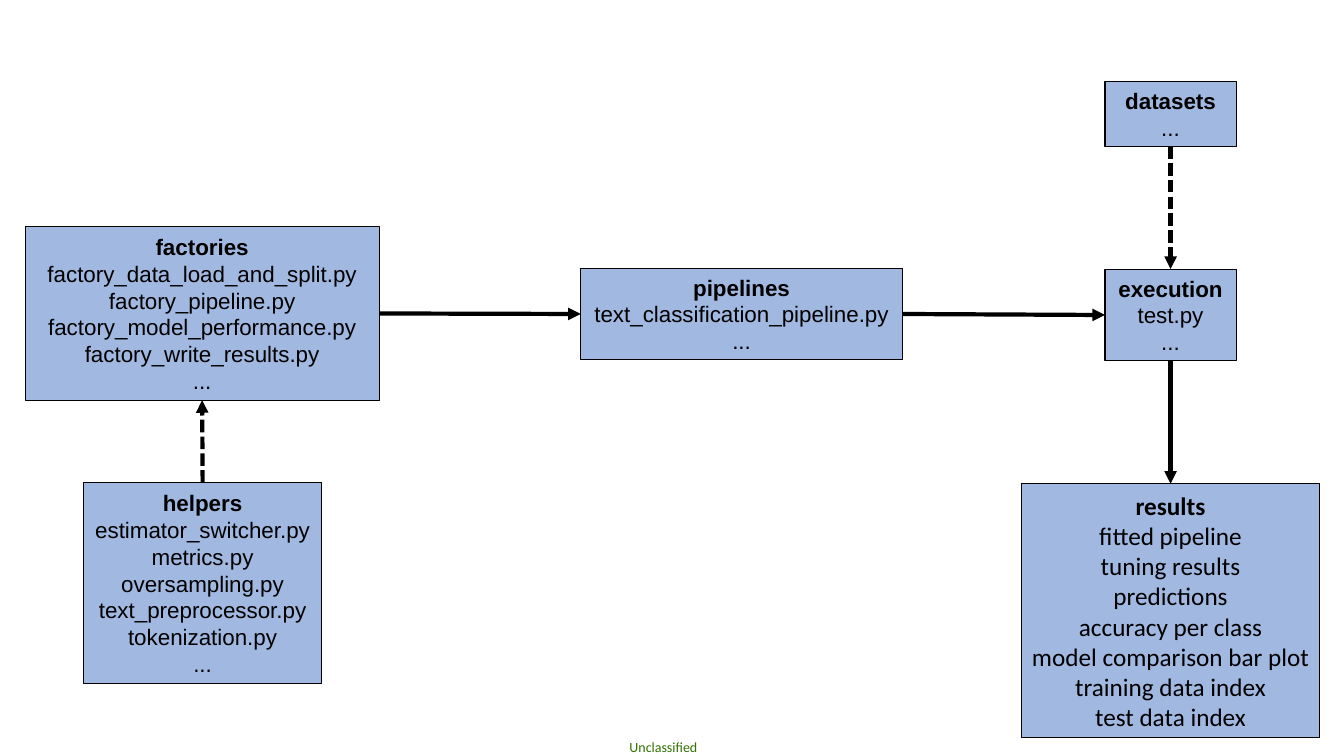
from lxml import etree
from pptx import Presentation
from pptx.dml.color import RGBColor
from pptx.enum.dml import MSO_LINE
from pptx.enum.shapes import MSO_CONNECTOR, MSO_SHAPE
from pptx.enum.text import MSO_ANCHOR, PP_ALIGN
from pptx.oxml.ns import qn
from pptx.util import Inches, Pt

RECTANGLE = MSO_SHAPE.RECTANGLE
STRAIGHT = MSO_CONNECTOR.STRAIGHT
DASHED = MSO_LINE.SQUARE_DOT
CENTER = PP_ALIGN.CENTER
MIDDLE = MSO_ANCHOR.MIDDLE
TOP, LEFT, BOTTOM, RIGHT = range(4)

COLORS = {"box": "4472C4", "ink": "000000", "marking": "317100"}


def color(name):
    return RGBColor.from_string(COLORS[name])


def add_line(paragraph, text, font, size, ink, bold=False):
    paragraph.alignment = CENTER
    run = paragraph.add_run()
    run.text = text
    run.font.name = font
    run.font.size = Pt(size)
    run.font.bold = bold
    run.font.color.rgb = color(ink)


prs = Presentation()
prs.slide_width = Inches(13.33)
prs.slide_height = Inches(7.5)
slide = prs.slides.add_slide(prs.slide_layouts[6])

# Classification marking at the foot
marking = slide.shapes.add_textbox(Inches(6.23), Inches(7.33), Inches(0.7), Inches(0.17))
frame = marking.text_frame
frame.margin_left = frame.margin_top = frame.margin_right = frame.margin_bottom = 0
frame.word_wrap = False
add_line(frame.paragraphs[0], "Unclassified", "Calibri", 10, "marking")

# Modules: name, (left, top, width, height), font, size, contents
modules = [
    ("factories", (0.25, 2.25, 3.51, 1.72), "Arial", 16,
     ["factory_data_load_and_split.py", "factory_pipeline.py",
      "factory_model_performance.py", "factory_write_results.py", "..."]),
    ("pipelines", (5.76, 2.66, 3.19, 0.91), "Arial", 16,
     ["text_classification_pipeline.py", "..."]),
    ("execution", (10.96, 2.67, 1.3, 0.91), "Arial", 16, ["test.py", "..."]),
    ("datasets", (10.96, 0.81, 1.3, 0.64), "Arial", 16, ["..."]),
    ("helpers", (0.83, 4.79, 2.36, 1.99), "Arial", 16,
     ["estimator_switcher.py", "metrics.py", "oversampling.py",
      "text_preprocessor.py", "tokenization.py", "..."]),
    ("results", (10.13, 4.8, 2.96, 2.52), "Calibri", 18,
     ["fitted pipeline", "tuning results", "predictions", "accuracy per class",
      "model comparison bar plot", "training data index", "test data index"]),
]
boxes = {}
for name, place, font, size, contents in modules:
    box = slide.shapes.add_shape(RECTANGLE, *map(Inches, place))
    boxes[name] = box
    box.shadow.inherit = False
    box.fill.solid()
    box.fill.fore_color.rgb = color("box")
    fill_color = box.fill._xPr.find(qn("a:solidFill")).find(qn("a:srgbClr"))
    etree.SubElement(fill_color, qn("a:alpha"), val="50000")
    box.line.color.rgb = color("ink")
    box.line.width = Pt(0.75)
    frame = box.text_frame
    frame.word_wrap = False
    frame.vertical_anchor = MIDDLE
    add_line(frame.paragraphs[0], name, font, size, "ink", bold=True)
    for entry in contents:
        add_line(frame.add_paragraph(), entry, font, size, "ink")

# Flow between modules: source, side, target, side, dashed
flows = [
    ("factories", RIGHT, "pipelines", LEFT, False),
    ("pipelines", RIGHT, "execution", LEFT, False),
    ("datasets", BOTTOM, "execution", TOP, True),
    ("execution", BOTTOM, "results", TOP, False),
    ("helpers", TOP, "factories", BOTTOM, True),
]
for source, source_side, target, target_side, dashed in flows:
    arrow = slide.shapes.add_connector(STRAIGHT, 0, 0, 0, 0)
    arrow.begin_connect(boxes[source], source_side)
    arrow.end_connect(boxes[target], target_side)
    arrow.line.color.rgb = color("ink")
    arrow.line.width = Pt(3)
    if dashed:
        arrow.line.dash_style = DASHED
    etree.SubElement(arrow.line._get_or_add_ln(), qn("a:tailEnd"), type="triangle")
    etree.SubElement(arrow._element.spPr, qn("a:effectLst"))

prs.save("out.pptx")
